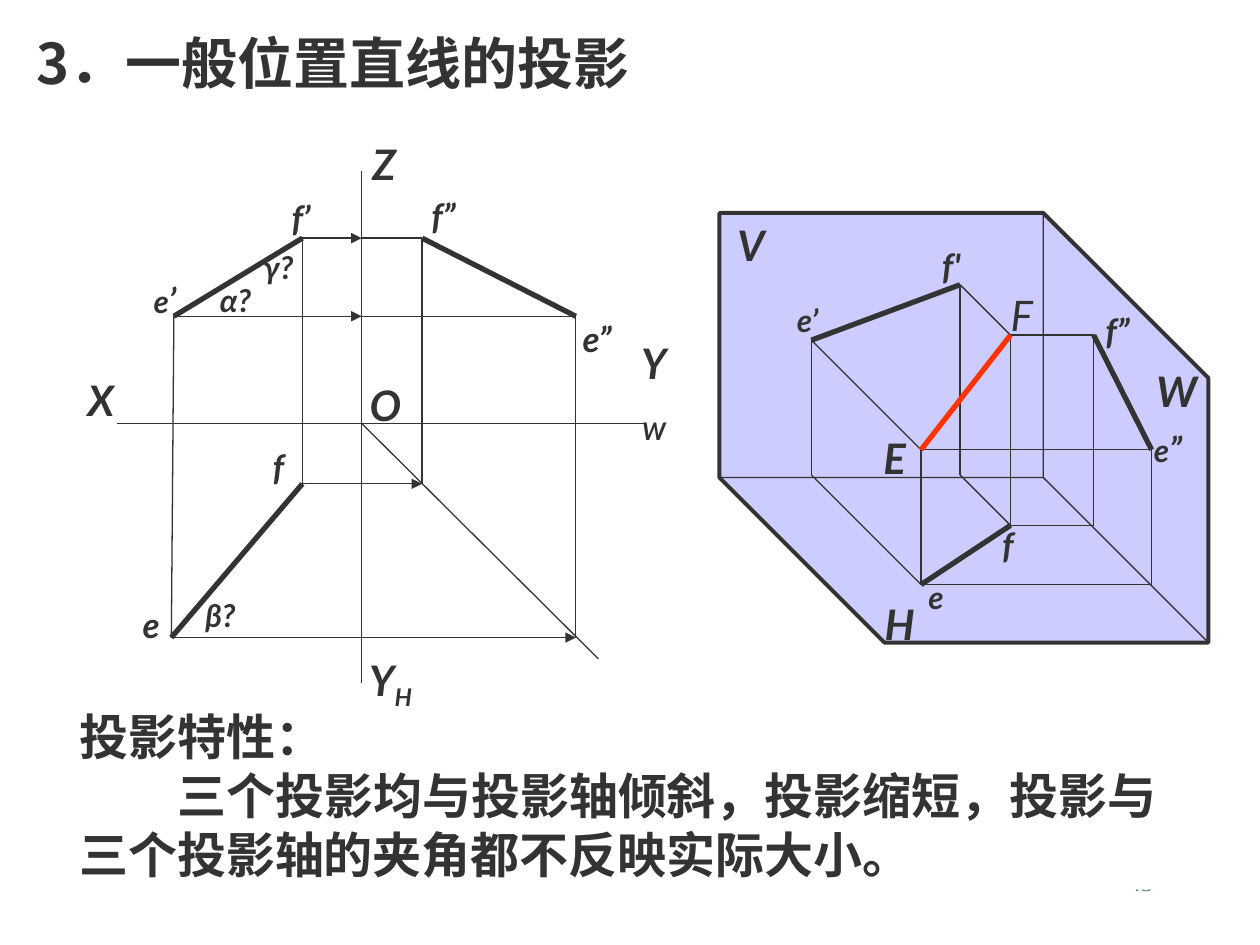
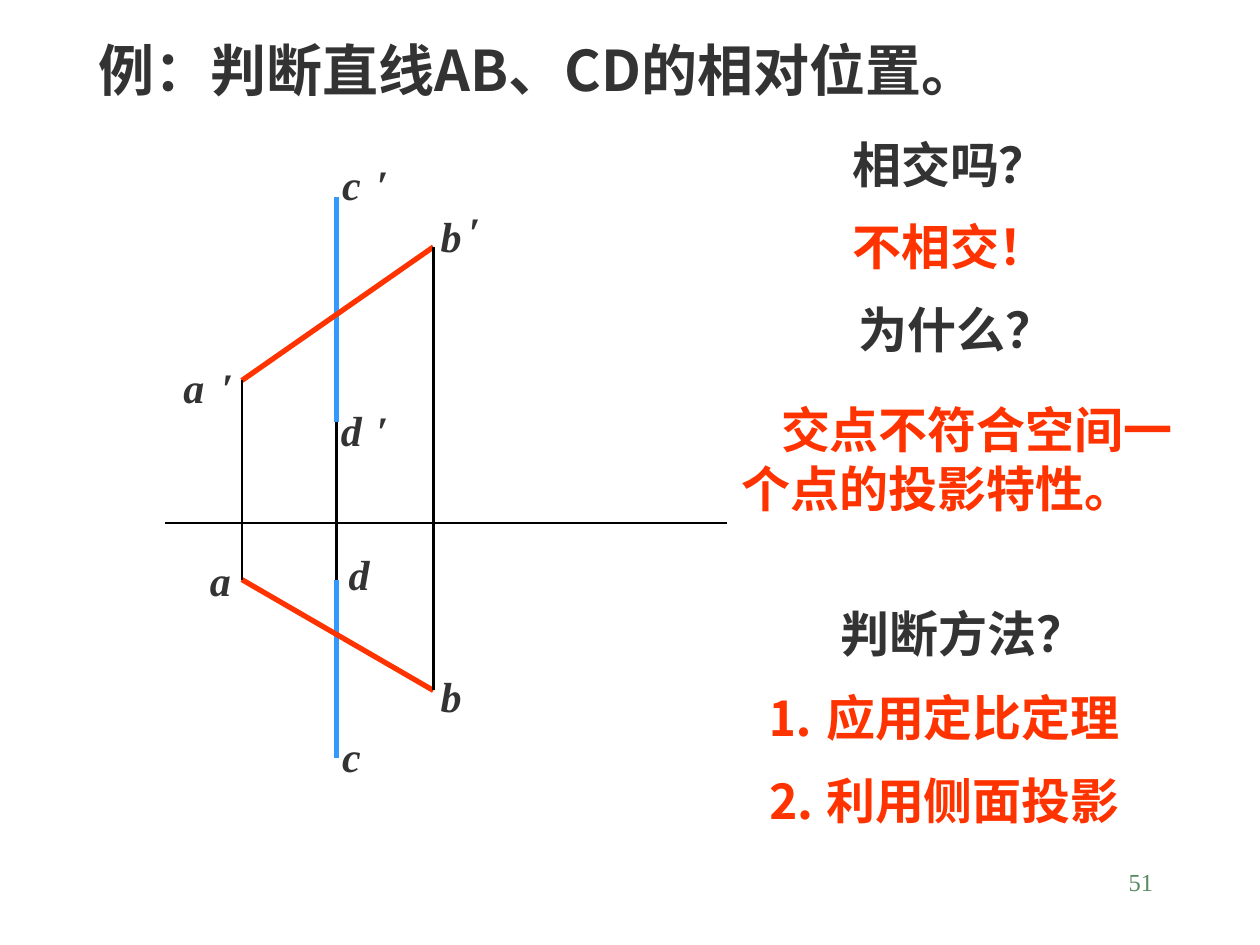
from dataclasses import dataclass, replace
from typing import NamedTuple

from pptx import Presentation
from pptx.dml.color import RGBColor as Rgb
from pptx.enum.shapes import MSO_CONNECTOR as Link
from pptx.enum.text import MSO_ANCHOR as Anchor, MSO_AUTO_SIZE as Fit, PP_ALIGN as Align
from pptx.oxml.ns import qn
from pptx.oxml.xmlchemy import OxmlElement as Tag
from pptx.util import Inches, Pt


# Theme: colours, type and line weights
class Type(NamedTuple):
    font: str
    size: float
    color: str
    bold: bool = True
    slant: bool = False


@dataclass(frozen=True)
class Theme:
    ink: str = "333333"
    red: str = "FF3300"
    blue: str = "3399FF"
    black: str = "000000"
    face: str = "CCCCFF"
    paper: str = "FFFFFF"
    han: str = "Noto Sans CJK SC"
    title: Type = Type("Noto Sans CJK SC", 32, "333333")
    text: Type = Type("Times New Roman", 28, "333333")
    alert: Type = Type("Times New Roman", 28, "FF3300")
    step: Type = Type("Noto Sans CJK SC", 28, "FF3300")
    axis: Type = Type("Lato", 24, "333333", True, True)
    mark: Type = Type("Lato", 20, "333333", True, True)
    small: Type = Type("Lato", 18, "333333", True, True)
    point: Type = Type("Times New Roman", 24, "333333", True, True)
    prime: Type = Type("Times New Roman", 24, "333333")
    page: Type = Type("Times New Roman", 14, "578963", False)
    thin: float = 0.75
    mid: float = 1.5
    edge: float = 2.25
    bold: float = 3


T = Theme()
Spot = tuple[float, float]
Spots = dict[str, Spot]

# The slide is a grid of 100 columns by 75 rows of square cells
WIDE, HIGH = Inches(10), Inches(7.5)
CELL = WIDE / 100


def grid(*vals: float) -> list[int]:
    return [round(v * CELL) for v in vals]


class Run(NamedTuple):
    text: str
    style: Type
    sub: bool = False


class Label(NamedTuple):
    """Text centred on a grid point."""
    x: float
    y: float
    runs: list[Run]
    wide: float = 5.6
    wrap: bool = False


class Stroke(NamedTuple):
    """Lines between named points; '>' puts an arrowhead at the end."""
    pairs: str
    color: str
    width: float


# Text
def put(para, runs: list[Run], align=Align.LEFT, gap: float = 0, dent: float = 0) -> None:
    prop = para._p.get_or_add_pPr()
    prop.set("marL", "0")
    prop.set("indent", str(grid(dent)[0]))
    prop.append(Tag("a:buNone"))
    para.alignment, para.space_before = align, Pt(gap)
    for text, style, sub in runs:
        run = para.add_run()
        run.text = text
        font = run.font
        font.name, font.size = style.font, Pt(style.size)
        font.bold, font.italic = style.bold, style.slant
        font.color.rgb = Rgb.from_string(style.color)
        prop = font._element
        if max(text) >= "⒈":
            east = Tag("a:ea")
            east.set("typeface", T.han)
            prop.find(qn("a:latin")).addnext(east)
        if sub:
            prop.set("baseline", "-25000")


def frame(shape, wrap: bool = True, anchor=Anchor.MIDDLE):
    body = shape.text_frame
    body.word_wrap, body.auto_size = wrap, Fit.NONE
    body.vertical_anchor = anchor
    return body


def place(shape, x: float, y: float, w: float, h: float):
    shape.left, shape.top, shape.width, shape.height = grid(x, y, w, h)
    return frame(shape)


def tag(slide, item: Label) -> None:
    high = 5.6
    box = slide.shapes.add_textbox(
        *grid(item.x - item.wide / 2, item.y - high / 2, item.wide, high))
    put(frame(box, item.wrap).paragraphs[0], item.runs, Align.CENTER)


def tags(slide, style: Type, items: list[tuple[str, float, float]], wide: float = 5.6) -> None:
    for text, x, y in items:
        tag(slide, Label(x, y, [Run(text, style)], wide))


# Lines and faces
def draw(slide, spots: Spots, stroke: Stroke) -> None:
    for pair in stroke.pairs.split():
        head = ">" in pair
        start, end = pair.replace(">", "-").split("-")
        link = slide.shapes.add_connector(
            Link.STRAIGHT, *grid(*spots[start], *spots[end]))
        link.line.width = Pt(stroke.width)
        link.line.color.rgb = Rgb.from_string(stroke.color)
        prop = link._element.spPr
        if head:
            tip = Tag("a:tailEnd")
            tip.set("type", "triangle")
            prop.find(qn("a:ln")).append(tip)
        prop.append(Tag("a:effectLst"))


def face(slide, spots: Spots, names: str, width: float, fill: str | None = None) -> None:
    first, *rest = [tuple(grid(*spots[n])) for n in names.split()]
    path = slide.shapes.build_freeform(*first, scale=1.0)
    path.add_line_segments(rest, close=True)
    shape = path.convert_to_shape()
    shape.shadow.inherit = False
    shape.line.color.rgb, shape.line.width = Rgb.from_string(T.ink), Pt(width)
    if fill:
        shape.fill.solid()
        shape.fill.fore_color.rgb = Rgb.from_string(fill)
    else:
        shape.fill.background()


# Shared slide base: page number at the back, title, body
def base(deck, title: str, box: tuple, page: str):
    slide = deck.slides.add_slide(deck.slide_layouts[1])
    num = slide.shapes.add_textbox(*grid(71.7, 68.3, 20.8, 5))
    put(frame(num, anchor=Anchor.TOP).paragraphs[0], [Run(page, T.page)], Align.RIGHT)
    num._element.getparent().insert(2, num._element)
    put(place(slide.shapes.title, *box).paragraphs[0], [Run(title, T.title)])
    return slide, slide.placeholders[1]


# Slide 1, left: three views on the axes
def views(slide) -> None:
    ox, oy = 28.7, 33.6
    e1, f1 = (13.8, 25.1), (24, 18.9)
    e0, f0 = (13.6, 50.6), (24, 38.4)
    ex, fx = 45.7, 33.5
    spots: Spots = {
        "o": (ox, oy), "e1": e1, "f1": f1, "e0": e0, "f0": f0,
        "e2": (ex, e1[1]), "f2": (fx, f1[1]),
        "ez": (ox, e1[1]), "fz": (ox, f1[1]),
        "ed": (ex, e0[1]), "fd": (fx, f0[1]), "d": (47.5, 52.3),
        "l": (9.3, oy), "r": (51.2, oy), "t": (ox, 13.6), "b": (ox, 54.2),
    }
    draw(slide, spots, Stroke(
        "l-r t-b o-d e1-e0 f1-f0 f1>fz fz-f2 e1>ez ez-e2 f0>fd fd-f2 e0>ed ed-e2",
        T.ink, T.thin))
    draw(slide, spots, Stroke("e0-f0 e1-f1 f2-e2", T.ink, T.bold))
    tags(slide, T.axis, [("X", 8, 31.7), ("O", 30.6, 32.1), ("Z", 30.5, 13)])
    tag(slide, Label(51.9, 31.1, [Run("Y", T.axis), Run("W", T.axis, True)], wrap=True))
    tag(slide, Label(31, 54.2, [Run("Y", T.axis), Run("H", T.axis, True)]))
    tags(slide, T.mark, [("f’", 23.9, 17.3), ("f”", 35.2, 17.1), ("e”", 47.4, 26.9),
                         ("e", 12, 49.6), ("f", 22.1, 37)])
    tag(slide, Label(13.1, 23.8, [Run("e", T.small), Run("’", T.mark)]))
    tags(slide, T.small, [("β?", 17.5, 48.8), ("γ?", 22.1, 21.2), ("α?", 18.7, 23.8)])


# Slide 1, right: the three planes in space
def space(slide) -> None:
    left, mid, right = 57.1, 82.8, 95.9
    top, base_y, drop = 16.9, 37.9, 13.1
    ex, ey, fx, fy = 73.1, 35.7, 80.2, 26.6
    eh, fh, ew, fw = 46.4, 41.7, 91.4, 86.8
    ev, fv, fold = 64.4, 76.2, 37.7
    spots: Spots = {
        "a": (left, top), "b": (mid, top), "o": (mid, base_y), "c": (left, base_y),
        "wt": (right, top + drop), "wb": (right, base_y + drop),
        "hb": (left + drop, base_y + drop),
        "E": (ex, ey), "F": (fx, fy), "e0": (ex, eh), "f0": (fx, fh),
        "e1": (ev, 27), "f1": (fv, 22.6), "e2": (ew, ey), "f2": (fw, fy),
        "ex": (ev, fold), "fx": (fv, fold), "ey": (ew, eh), "fy": (fw, fh),
    }
    for names in ("a b o c", "b o wb wt", "c o wb hb"):
        face(slide, spots, names, T.thin, T.face)
    face(slide, spots, "a b wt wb hb c", T.edge)
    draw(slide, spots, Stroke(
        "F-f2 E-e2 E-e0 E-e1 F-f1 F-f0 e0-ex ex-e1 f0-fx fx-f1 f0-fy e0-ey fy-f2 ey-e2",
        T.ink, T.thin))
    draw(slide, spots, Stroke("e0-f0 e1-f1 f2-e2", T.ink, T.bold))
    draw(slide, spots, Stroke("E-F", T.red, T.bold))
    tags(slide, T.axis, [("W", 93.4, 31), ("V", 59.6, 19.4), ("H", 71.4, 49.5),
                         ("E", 71, 36.3)])
    tags(slide, replace_bold(T.axis), [("F", 81.1, 25)])
    tags(slide, T.small, [("e’", 64.1, 25.4), ("e", 74.3, 47.4)])
    tags(slide, T.mark, [("f”", 88.7, 26.2), ("f", 80, 43.2), ("f'", 75.5, 21.1)])
    tag(slide, Label(92.7, 35.6, [Run("e", T.small), Run("”", T.mark)]))


def replace_bold(style: Type) -> Type:
    return style._replace(bold=False)


def lines(deck) -> None:
    slide, body = base(deck, "3．一般位置直线的投影", (1.9, 1.8, 60.9, 6.3), "43")
    body.fill.solid()
    body.fill.fore_color.rgb = Rgb.from_string(T.paper)
    note = place(body, 5.3, 55.6, 90.5, 15)
    put(note.paragraphs[0], [Run("投影特性：", T.text)])
    put(note.add_paragraph(), [Run(
        "三个投影均与投影轴倾斜，投影缩短，投影与三个投影轴的夹角都不反映实际大小。",
        T.text)], dent=7.8)
    views(slide)
    space(slide)


# Slide 2: do AB and CD meet?
def meet(deck) -> None:
    slide, body = base(deck, "例：判断直线AB、CD的相对位置。", (6.8, 2.3, 69, 6.3), "51")
    ax, cx, bx, axis = 19.2, 26.7, 34.4, 41.5
    spots: Spots = {
        "l": (13.1, axis), "r": (57.7, axis),
        "a1": (ax, 30.2), "b1": (bx, 19.6), "c1": (cx, 15.6), "d1": (cx, 33.5),
        "a0": (ax, 46), "b0": (bx, 54.8), "c0": (cx, 60.2), "d0": (cx, 46),
    }
    for stroke in (Stroke("l-r d1-d0", T.black, T.mid),
                   Stroke("c1-d1 d0-c0", T.blue, T.bold),
                   Stroke("a1-b1 a0-b0", T.red, T.bold),
                   Stroke("a0-a1 b0-b1", T.black, T.mid)):
        draw(slide, spots, stroke)
    tags(slide, T.point, [("c", 27.9, 14.6), ("a", 15.4, 30.7), ("b", 35.8, 18.7),
                          ("d", 27.9, 34.1), ("a", 17.5, 46), ("b", 35.8, 55.2),
                          ("c", 27.9, 60), ("d", 28.5, 45.5)])
    tags(slide, T.prime, [("′", 30.4, 14.6), ("′", 18.1, 30.7),
                          ("′", 37.7, 18.3), ("′", 30.4, 34.1)])

    # Questions and answers
    tags(slide, T.text, [("相交吗？", 75.4, 13), ("为什么？", 75.9, 26.1),
                         ("判断方法？", 76.4, 50.2)], 27.8)
    tags(slide, T.alert, [("不相交！", 75.4, 19.5)], 27.8)
    why = frame(slide.shapes.add_textbox(*grid(57.9, 30.9, 38.1, 11)))
    put(why.paragraphs[0], [Run("交点不符合空间一个点的投影特性。", T.alert)], dent=3.1)
    steps = place(body, 59.8, 54, 33.7, 12.4)
    put(steps.paragraphs[0], [Run("⒈ 应用定比定理", T.step)])
    put(steps.add_paragraph(), [Run("⒉ 利用侧面投影", T.step)], gap=14)


def main() -> None:
    deck = Presentation()
    deck.slide_width, deck.slide_height = WIDE, HIGH
    lines(deck)
    meet(deck)
    deck.save("out.pptx")


if __name__ == "__main__":
    main()
